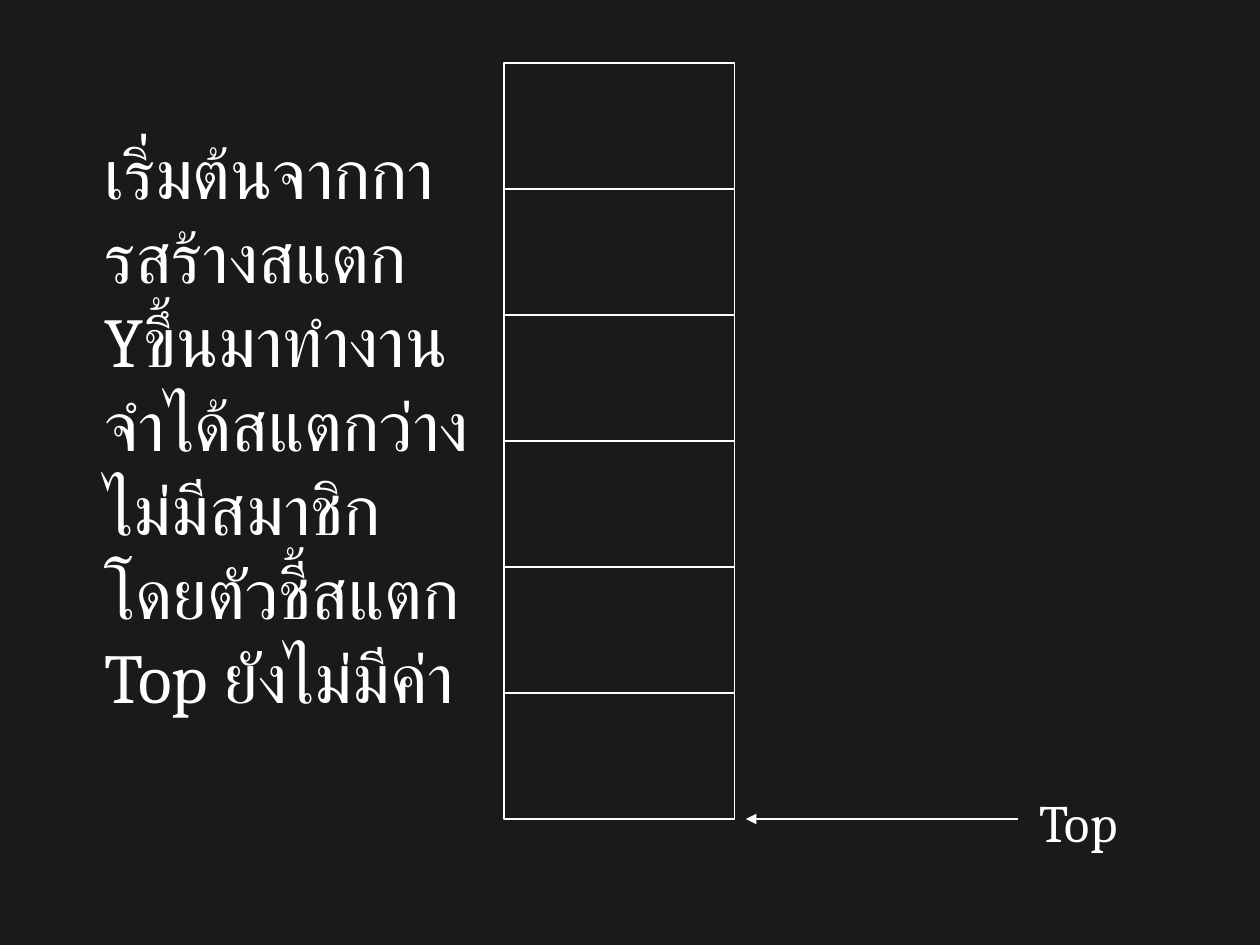
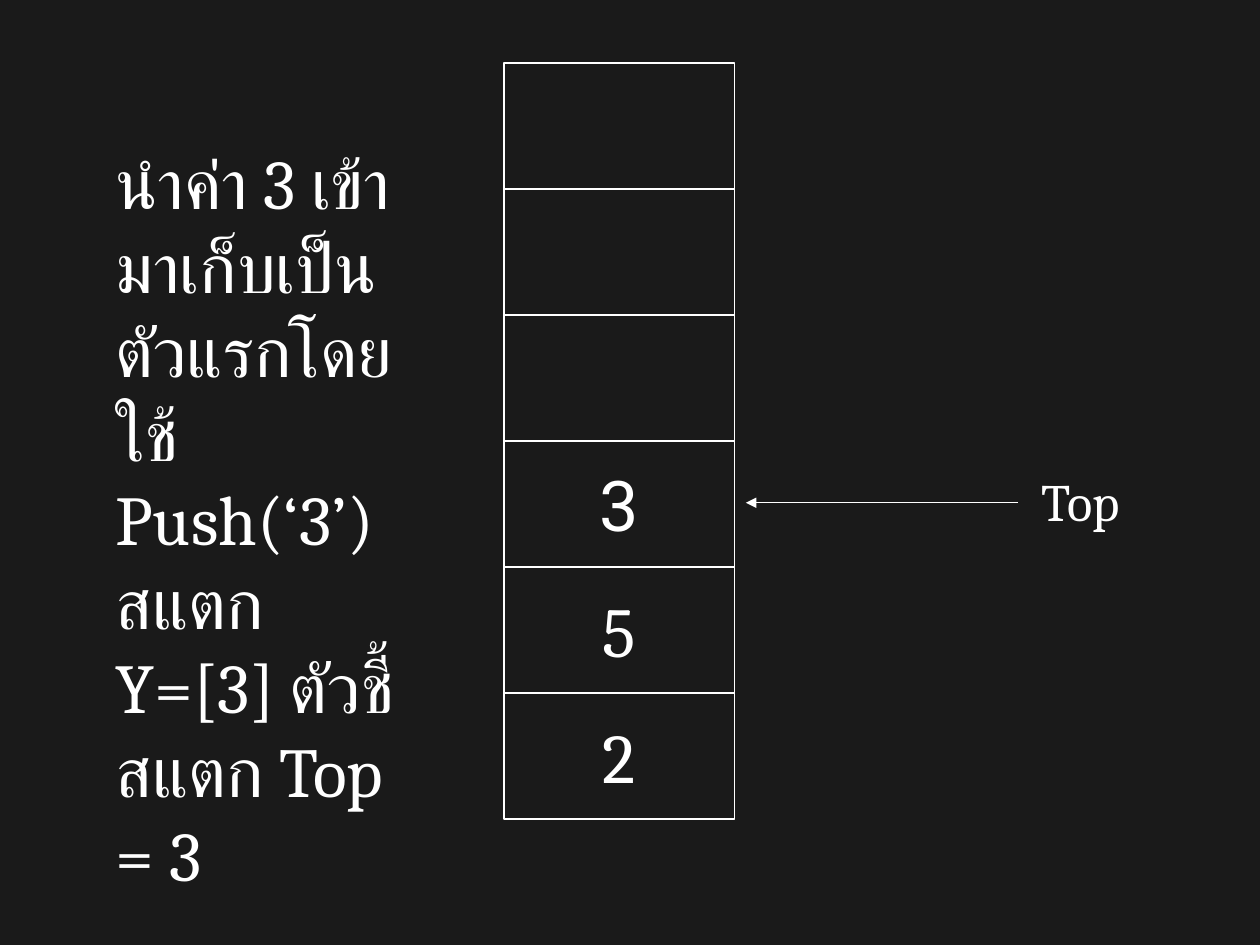
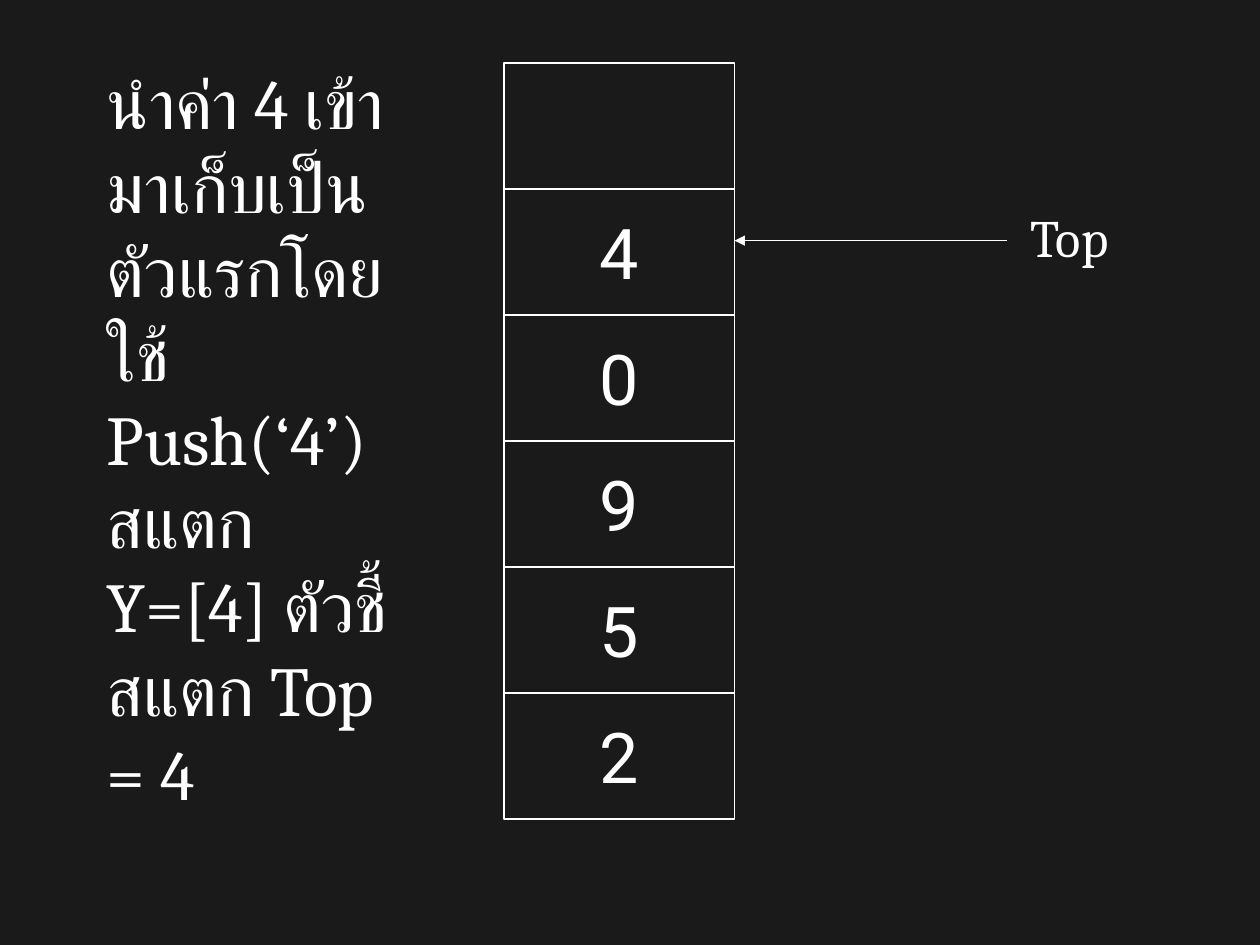
from pptx import Presentation
from pptx.dml.color import RGBColor
from pptx.enum import shapes, text
from pptx.oxml import ns
from pptx.util import Inches, Pt
from lxml import etree

BACKGROUND = "1A1A1A"
FOREGROUND = "FFFFFF"
SERIF = "Cambria"
SANS = "Roboto"
CELL_LEFT, CELL_WIDTH, CELL_HEIGHT = 4, 1.83, 1
STACK_BOTTOM = 6.5
STACK_SIZE = 6
ARROW_LENGTH = 2.16


def color(hex_string):
    return RGBColor.from_string(hex_string)


def write(frame, content, size=40, font=SERIF, align=None, wrap=True,
          anchor=text.MSO_ANCHOR.TOP, autosize=text.MSO_AUTO_SIZE.NONE):
    frame.word_wrap = wrap
    frame.auto_size = autosize
    frame.vertical_anchor = anchor
    paragraph = frame.paragraphs[0]
    paragraph.alignment = align
    run = paragraph.add_run()
    run.text = content
    run.font.size = Pt(size)
    run.font.name = font
    run.font.color.rgb = color(FOREGROUND)
    complex_script = etree.SubElement(run.font._element, ns.qn("a:cs"))
    complex_script.set("typeface", font)


class StackDeck:
    def __init__(self):
        self.presentation = Presentation()
        self.presentation.slide_width = Inches(10)
        self.presentation.slide_height = Inches(7.5)
        self.slide = None

    def add_slide(self):
        blank_layout = self.presentation.slide_layouts[6]
        self.slide = self.presentation.slides.add_slide(blank_layout)
        fill = self.slide.background.fill
        fill.solid()
        fill.fore_color.rgb = color(BACKGROUND)

    def outline(self, shape):
        shape.line.color.rgb = color(FOREGROUND)
        shape.line.width = Pt(0.75)

    def stack(self, values):
        group = self.slide.shapes.add_group_shape()
        for level in range(STACK_SIZE):
            top = STACK_BOTTOM - (level + 1) * CELL_HEIGHT
            cell = group.shapes.add_shape(
                shapes.MSO_SHAPE.RECTANGLE, Inches(CELL_LEFT), Inches(top),
                Inches(CELL_WIDTH), Inches(CELL_HEIGHT))
            cell.shadow.inherit = False
            cell.fill.background()
            self.outline(cell)
            if level < len(values):
                value, font = values[level]
                write(cell.text_frame, value, font=font, wrap=False,
                      align=text.PP_ALIGN.CENTER, anchor=text.MSO_ANCHOR.MIDDLE)

    def text_box(self, content, left, top, width, height, **style):
        box = self.slide.shapes.add_textbox(
            Inches(left), Inches(top), Inches(width), Inches(height))
        write(box.text_frame, content,
              autosize=text.MSO_AUTO_SIZE.SHAPE_TO_FIT_TEXT, **style)

    def top_pointer(self, tip, y, label_left, label_top):
        arrow = self.slide.shapes.add_connector(
            shapes.MSO_CONNECTOR.STRAIGHT,
            Inches(tip + ARROW_LENGTH), Inches(y), Inches(tip), Inches(y))
        self.outline(arrow)
        tail = etree.SubElement(arrow.line._get_or_add_ln(), ns.qn("a:tailEnd"))
        tail.set("type", "triangle")
        etree.SubElement(arrow._element.spPr, ns.qn("a:effectLst"))
        self.text_box("Top", label_left, label_top, 0.93, 0.6, size=30, wrap=False)


def push_text(value, top):
    return (f"นำค่า {value} เข้ามาเก็บเป็นตัวแรกโดยใช้ Push(‘{value}’) "
            f"สแตก Y=[{value}] ตัวชี้สแตก Top = {top}")


def main():
    steps = [
        ([],
         ("เริ่มต้นจากการสร้างสแตก Yขึ้นมาทำงานจำได้สแตกว่าง "
          "ไม่มีสมาชิกโดยตัวชี้สแตก Top ยังไม่มีค่า", 0.73, 0.98, 3.18, 4.1),
         (5.92, 6.5, 8.15, 6.22)),
        ([("2", SERIF), ("5", SERIF), ("3", SANS)],
         (push_text(3, 3), 0.82, 1.06, 2.68, 4.77),
         (5.92, 3.99, 8.17, 3.67)),
        ([(value, SANS) for value in "25904"],
         (push_text(4, 4), 0.75, 0.42, 2.6, 6.1),
         (5.83, 1.91, 8.08, 1.58)),
    ]
    deck = StackDeck()
    for values, explanation, pointer in steps:
        deck.add_slide()
        deck.stack(values)
        deck.text_box(*explanation)
        deck.top_pointer(*pointer)
    deck.presentation.save("out.pptx")


if __name__ == "__main__":
    main()
